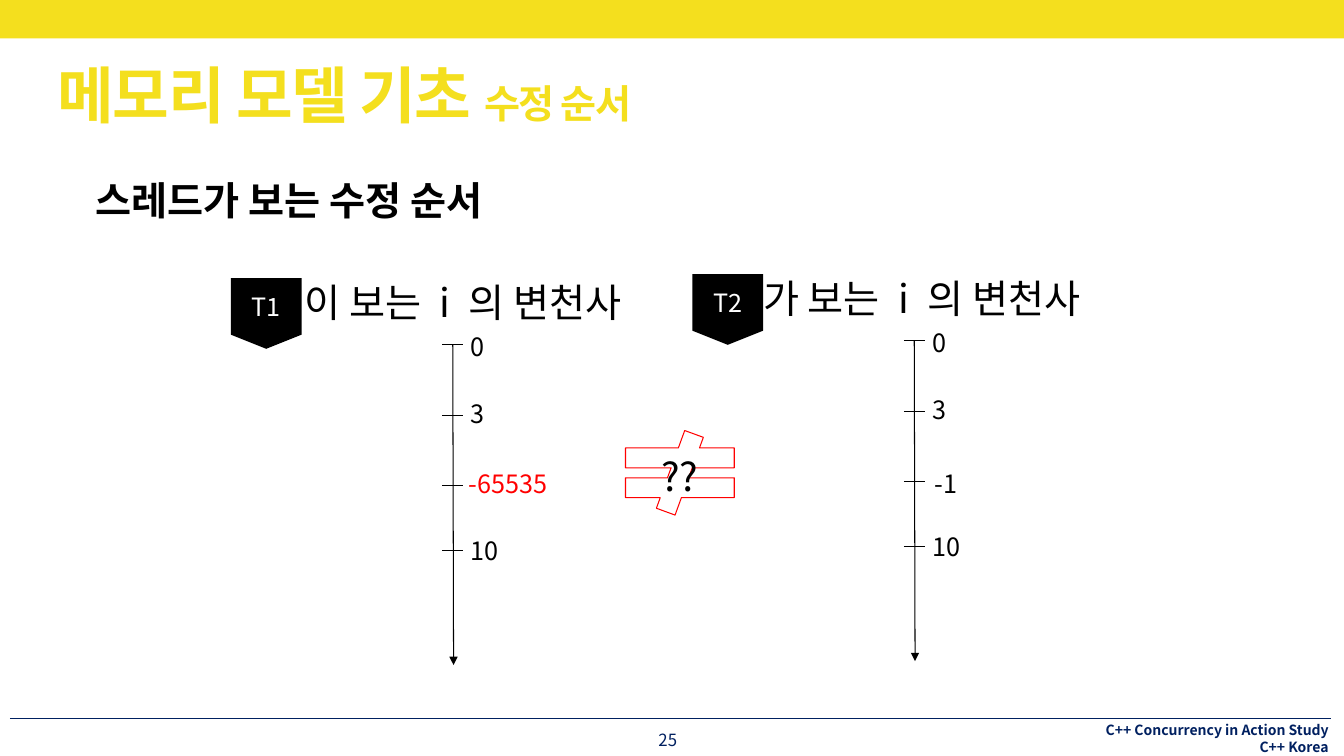
from lxml.etree import SubElement
from pptx import Presentation
from pptx.dml.color import RGBColor
from pptx.enum.shapes import MSO_CONNECTOR as Connector, MSO_SHAPE as Shape
from pptx.enum.text import MSO_ANCHOR as Anchor, MSO_AUTO_SIZE as AutoSize, PP_ALIGN as Align
from pptx.oxml.ns import qn
from pptx.util import Cm, Pt

FONT = "Noto Sans CJK KR"
YELLOW = RGBColor(0xF4, 0xDF, 0x1E)
NAVY = RGBColor(0x00, 0x20, 0x60)
BLACK = RGBColor(0, 0, 0)
WHITE = RGBColor(255, 255, 255)
RED = RGBColor(255, 0, 0)

TITLE = [("메모리 모델 기초 ", 44), ("수정 순서", 28)]
HEADING = "스레드가 보는 수정 순서"
FOOTER = ["C++ Concurrency in Action Study", "C++ Korea"]
PAGE = "25"
TICKS = [1.68, 3.45, 5.23, 6.86]
TIMELINES = [
    {"thread": "T1", "left": 5.82, "top": 7.01, "caption": "이 보는", "caption_left": 7.67,
     "values": [("0", 6.05, 1.35, 0.36, BLACK), ("3", 6.05, 3.02, 0.36, BLACK),
                ("-65535", 5.99, 4.78, 2.03, RED), ("10", 6.05, 6.48, 0.71, BLACK)]},
    {"thread": "T2", "left": 17.45, "top": 6.91, "caption": "가 보는", "caption_left": 19.23,
     "values": [("0", 6.05, 1.35, 0.36, BLACK), ("3", 6.05, 3.02, 0.36, BLACK),
                ("-1", 6.1, 4.88, 0.61, BLACK), ("10", 6.05, 6.48, 0.71, BLACK)]},
]

presentation = Presentation()
presentation.slide_width = Cm(33.87)
presentation.slide_height = Cm(19.05)
slide = presentation.slides.add_slide(presentation.slide_layouts[5])


def add_run(paragraph, text, size, color, bold=False, spacing=None):
    run = paragraph.add_run()
    run.text = text
    font = run.font
    font.name, font.size, font.bold = FONT, Pt(size), bold
    font.color.rgb = color
    properties = run._r.get_or_add_rPr()
    SubElement(properties, qn("a:ea")).set("typeface", FONT)
    if spacing is not None:
        properties.set("spc", str(int(spacing * 100)))


def set_margins(frame, margin):
    frame.margin_left = frame.margin_right = Cm(margin)
    frame.margin_top = frame.margin_bottom = Cm(margin)


def add_text(left, top, width, height, lines, size, color, bold=False,
             align=Align.LEFT, wrap=False):
    box = slide.shapes.add_textbox(Cm(left), Cm(top), Cm(width), Cm(height))
    frame = box.text_frame
    set_margins(frame, 0)
    frame.word_wrap = wrap
    frame.auto_size = AutoSize.SHAPE_TO_FIT_TEXT
    for index, runs in enumerate(lines):
        paragraph = frame.add_paragraph() if index else frame.paragraphs[0]
        paragraph.alignment = align
        for text, spacing in runs:
            add_run(paragraph, text, size, color, bold, spacing)


def add_line(start, end, color=BLACK, width=0.75, arrow=False):
    line = slide.shapes.add_connector(Connector.STRAIGHT, Cm(start[0]), Cm(start[1]),
                                      Cm(end[0]), Cm(end[1]))
    line.line.color.rgb = color
    line.line.width = Pt(width)
    if arrow:
        SubElement(line.line._get_or_add_ln(), qn("a:tailEnd")).set("type", "triangle")
    SubElement(line._element.spPr, qn("a:effectLst"))


def add_shape(kind, left, top, width, height, fill=None, outline=None):
    shape = slide.shapes.add_shape(kind, Cm(left), Cm(top), Cm(width), Cm(height))
    shape.shadow.inherit = False
    if fill is None:
        shape.fill.background()
    else:
        shape.fill.solid()
        shape.fill.fore_color.rgb = fill
    if outline is None:
        shape.line.fill.background()
    else:
        shape.line.color.rgb = outline
        shape.line.width = Pt(0.75)
    return shape


def add_timeline(timeline):
    left, top = timeline["left"], timeline["top"]
    badge = add_shape(Shape.FLOWCHART_OFFPAGE_CONNECTOR, left, top, 1.78, 1.78, BLACK)
    set_margins(badge.text_frame, 0.13)
    badge.text_frame.vertical_anchor = Anchor.MIDDLE
    paragraph = badge.text_frame.paragraphs[0]
    paragraph.alignment = Align.CENTER
    add_run(paragraph, timeline["thread"], 18, WHITE)

    add_line((left + 5.59, top + TICKS[0]), (left + 5.61, top + 9.75), arrow=True)
    caption = [(timeline["caption"], None), (" i", 7), (" 의 변천사", None)]
    add_text(timeline["caption_left"], top, 8.64, 1.19, [caption], 28, BLACK)
    for tick in TICKS:
        add_line((left + 5.33, top + tick), (left + 5.86, top + tick))
    for value, x, y, width, color in timeline["values"]:
        add_text(left + x, top + y, width, 0.76, [[(value, None)]], 18, color)


add_line((0.25, 18.11), (33.53, 18.11), NAVY, 1)
add_text(27.74, 18.19, 5.74, 0.86, [[(line, None)] for line in FOOTER], 10, NAVY,
         bold=True, align=Align.RIGHT)
add_shape(Shape.RECTANGLE, 0, 0, 33.87, 0.97, YELLOW)
add_text(15.42, 18.39, 2.82, 0.53, [[(PAGE, None)]], 12, NAVY, align=Align.CENTER, wrap=True)
add_text(2.41, 4.45, 11.02, 1.19, [[(HEADING, None)]], 28, BLACK, bold=True)

title = slide.shapes.title
title.left, title.top, title.width, title.height = Cm(1.45), Cm(1.65), Cm(30.99), Cm(1.7)
title_frame = title.text_frame
set_margins(title_frame, 0)
title_frame.word_wrap = True
title_frame.vertical_anchor = Anchor.TOP
title_frame.auto_size = AutoSize.SHAPE_TO_FIT_TEXT
title_paragraph = title_frame.paragraphs[0]
title_paragraph.alignment = Align.LEFT
title_paragraph.line_spacing = 0.9
for text, size in TITLE:
    add_run(title_paragraph, text, size, YELLOW, bold=True, spacing=-1)

for timeline in TIMELINES:
    add_timeline(timeline)

add_shape(Shape.MATH_NOT_EQUAL, 15.27, 10.85, 3.73, 2.13, outline=RED)
add_text(16.66, 11.4, 0.97, 1.19, [[("??", None)]], 28, BLACK, wrap=True)

presentation.save("out.pptx")
